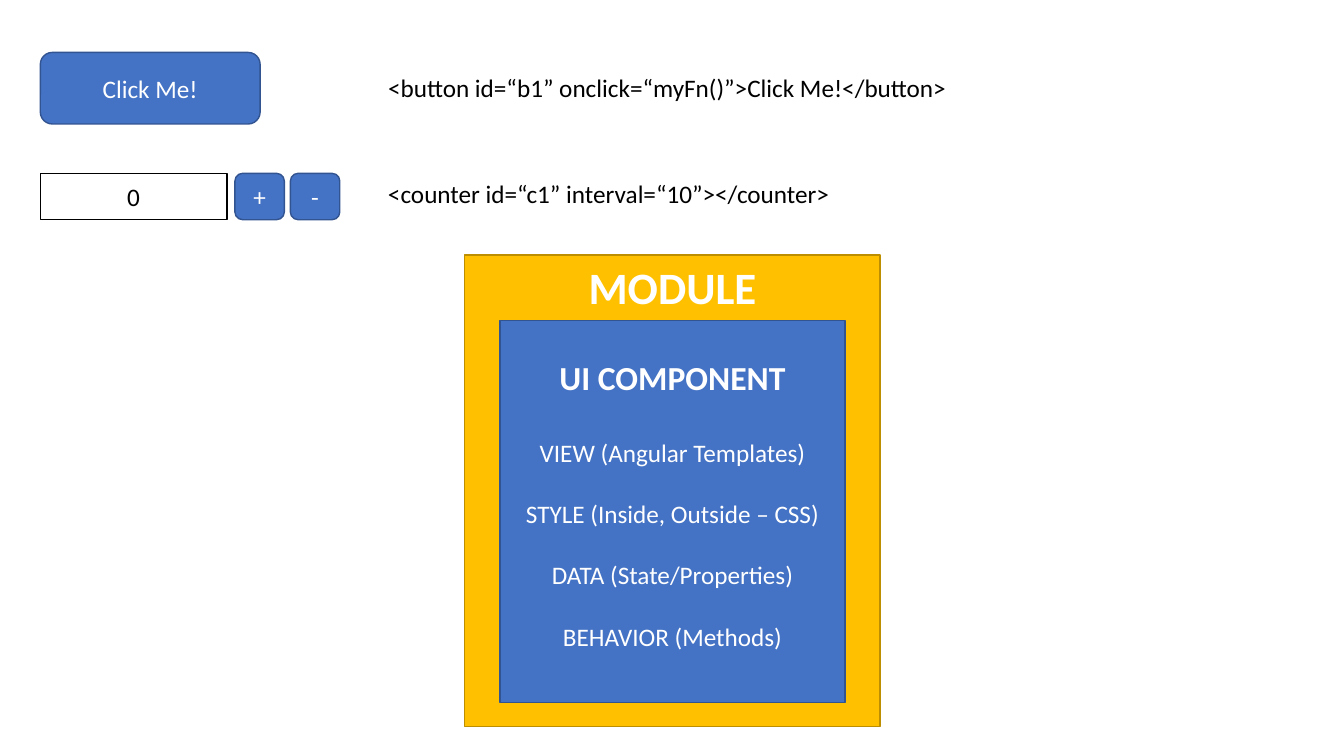
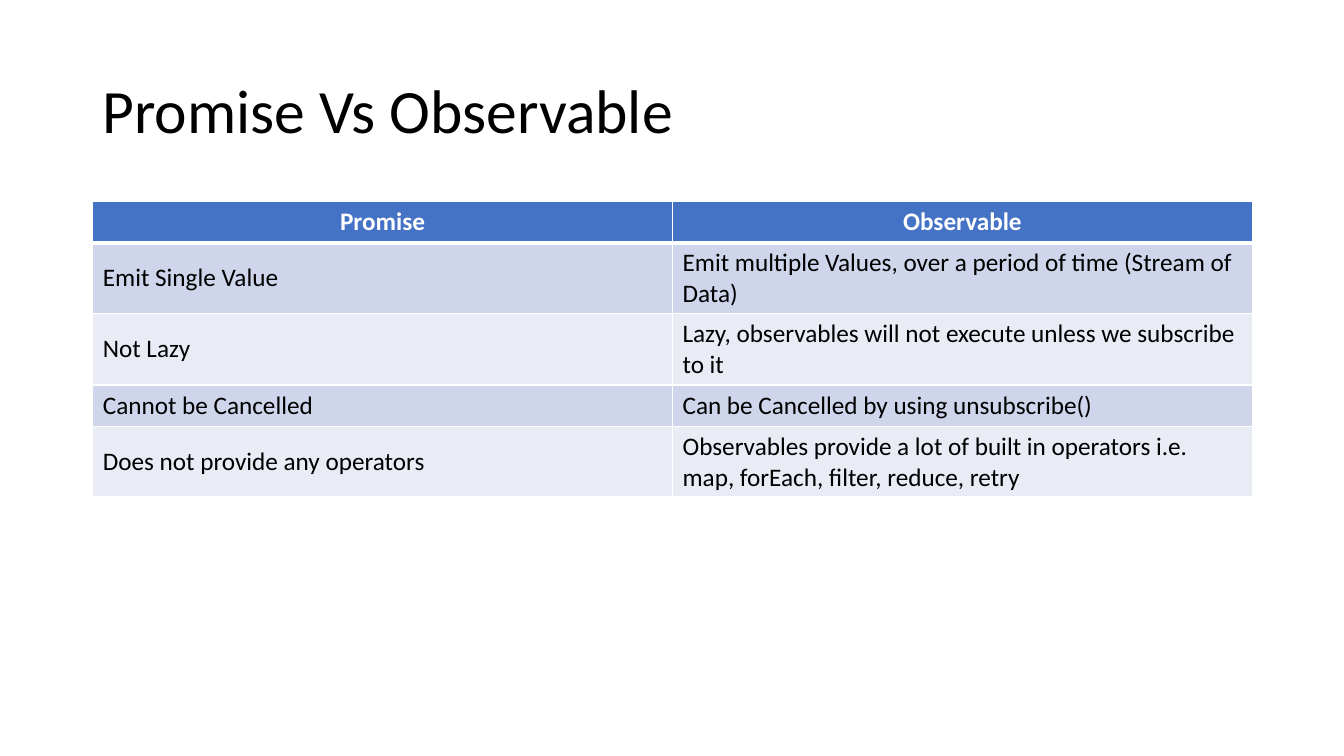
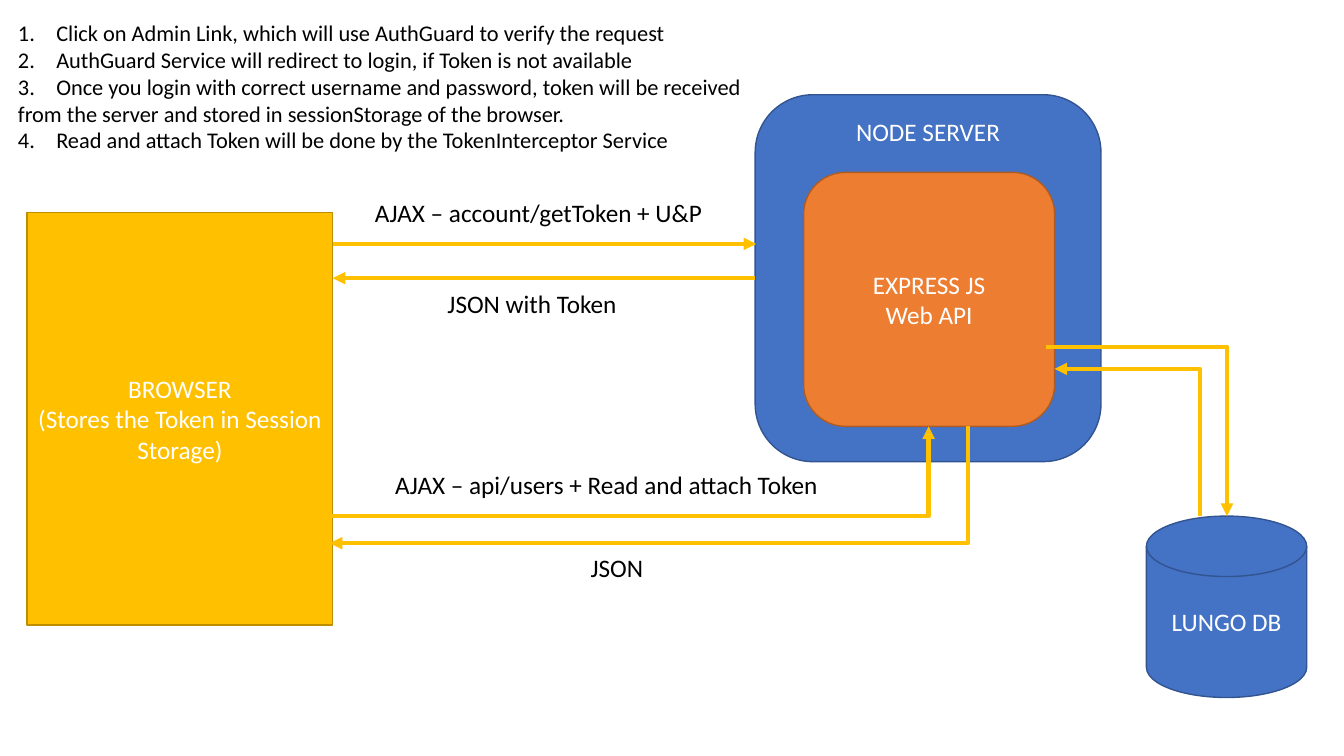
"""Builds three slides on user interface components, observables and token login."""
import pptx
import pptx.dml.color
import pptx.enum.shapes
import pptx.enum.text
import pptx.oxml.ns
import pptx.util
import lxml.etree

Inches = pptx.util.Inches
Pt = pptx.util.Pt
SHAPES = pptx.enum.shapes.MSO_SHAPE
CONNECTORS = pptx.enum.shapes.MSO_CONNECTOR
ANCHOR = pptx.enum.text.MSO_ANCHOR
ALIGN = pptx.enum.text.PP_ALIGN

FONT = "Calibri"
WHITE, BLACK = "FFFFFF", "000000"
BLUE, GOLD, ORANGE = "4472C4", "FFC000", "ED7D31"
OUTLINES = {BLUE: "325491", GOLD: "BD8E00", ORANGE: "AF5C24", WHITE: BLACK}
BANDS = ("CFD5EA", "E9EBF5")


def color(value):
    return pptx.dml.color.RGBColor.from_string(value)


def add_xml(parent, tag, **attributes):
    return lxml.etree.SubElement(parent, pptx.oxml.ns.qn(tag), attributes)


class Deck:
    """Holds the shared style and the current slide."""

    def __init__(self):
        self.presentation = pptx.Presentation()
        self.presentation.slide_width = Inches(13.33)
        self.presentation.slide_height = Inches(7.5)
        self.slide = None

    def new_slide(self):
        self.slide = self.presentation.slides.add_slide(self.presentation.slide_layouts[6])

    def set_text(self, frame, text, size, ink, align, bold=False):
        frame.text = text
        for paragraph in frame.paragraphs:
            paragraph.alignment = align
            for run in paragraph.runs:
                run.font.name = FONT
                run.font.size = Pt(size)
                run.font.bold = bold
                run.font.color.rgb = color(ink)

    def box(self, kind, left, top, width, height, fill, text, size=18, bold=False, anchor=ANCHOR.MIDDLE):
        shape = self.slide.shapes.add_shape(kind, Inches(left), Inches(top), Inches(width), Inches(height))
        shape.shadow.inherit = False
        shape.fill.solid()
        shape.fill.fore_color.rgb = color(fill)
        shape.line.color.rgb = color(OUTLINES[fill])
        shape.line.width = Pt(1)
        shape.text_frame.vertical_anchor = anchor
        self.set_text(shape.text_frame, text, size, BLACK if fill == WHITE else WHITE, ALIGN.CENTER, bold)
        return shape

    def label(self, left, top, width, text, height=0.4, size=18, wrap=False):
        shape = self.slide.shapes.add_textbox(Inches(left), Inches(top), Inches(width), Inches(height))
        shape.text_frame.word_wrap = wrap
        self.set_text(shape.text_frame, text, size, BLACK, ALIGN.LEFT)
        return shape

    def title(self, text):
        shape = self.label(0.92, 0.4, 11.5, text, height=1.45, size=44, wrap=True)
        shape.text_frame.vertical_anchor = ANCHOR.MIDDLE
        shape.text_frame.paragraphs[0].line_spacing = 0.9

    def number(self, paragraph, start):
        properties = paragraph._p.get_or_add_pPr()
        properties.set("marL", str(Inches(0.38)))
        properties.set("indent", str(-Inches(0.38)))
        add_xml(properties, "a:buFont", typeface="+mj-lt")
        add_xml(properties, "a:buAutoNum", type="arabicPeriod", startAt=str(start))

    def arrow(self, begin, end, bent=False, at_end=True):
        kind = CONNECTORS.ELBOW if bent else CONNECTORS.STRAIGHT
        connector = self.slide.shapes.add_connector(kind, *map(Inches, begin + end))
        connector.line.color.rgb = color(GOLD)
        connector.line.width = Pt(3)
        properties = connector._element.spPr
        if bent:
            properties.find(pptx.oxml.ns.qn("a:prstGeom")).set("prst", "bentConnector2")
        add_xml(connector.line._get_or_add_ln(), "a:tailEnd" if at_end else "a:headEnd", type="triangle")
        add_xml(properties, "a:effectLst")

    def border(self, cell, widths):
        properties = cell._tc.get_or_add_tcPr()
        for side, width in widths.items():
            line = add_xml(properties, "a:ln" + side, w=str(Pt(width)))
            add_xml(add_xml(line, "a:solidFill"), "a:srgbClr", val=WHITE)

    def table(self, left, top, width, heights, rows):
        frame = self.slide.shapes.add_table(
            len(rows), len(rows[0]), Inches(left), Inches(top), Inches(width), Inches(sum(heights)))
        for index, (height, texts) in enumerate(zip(heights, rows)):
            frame.table.rows[index].height = Inches(height)
            header = index == 0
            for column, text in enumerate(texts):
                cell = frame.table.cell(index, column)
                self.border(cell, {"L": 1, "R": 1, "T": 3 if index == 1 else 1, "B": 3 if header else 1})
                cell.fill.solid()
                cell.fill.fore_color.rgb = color(BLUE if header else BANDS[(index - 1) % 2])
                cell.vertical_anchor = ANCHOR.MIDDLE
                self.set_text(cell.text_frame, text, 18, WHITE if header else BLACK,
                              ALIGN.CENTER if header else ALIGN.LEFT, header)


def component_slide(deck):
    deck.new_slide()
    deck.box(SHAPES.RECTANGLE, 4.61, 2.53, 4.12, 4.68, GOLD, "MODULE", 32, True, ANCHOR.TOP)
    deck.box(SHAPES.ROUNDED_RECTANGLE, 0.4, 0.52, 2.18, 0.71, BLUE, "Click Me!")
    deck.label(3.75, 0.67, 5.81, "<button id=“b1” onclick=“myFn()”>Click Me!</button>")
    deck.label(3.75, 1.72, 4.63, "<counter id=“c1” interval=“10”></counter>")
    deck.box(SHAPES.RECTANGLE, 0.4, 1.72, 1.85, 0.46, WHITE, "0")
    for left, sign in ((2.33, "+"), (2.88, "-")):
        deck.box(SHAPES.ROUNDED_RECTANGLE, left, 1.72, 0.49, 0.46, BLUE, sign)
    parts = ["UI COMPONENT", "VIEW (Angular Templates)", "STYLE (Inside, Outside – CSS)",
             "DATA (State/Properties)", "BEHAVIOR (Methods)"]
    component = deck.box(SHAPES.RECTANGLE, 4.96, 3.18, 3.42, 3.79, BLUE, "\n".join(parts), anchor=ANCHOR.TOP)
    component.text_frame.margin_top = Inches(0.36)
    heading, view, *others = component.text_frame.paragraphs
    heading.runs[0].font.size = Pt(24)
    heading.runs[0].font.bold = True
    view.space_before = Pt(29)
    for paragraph in others:
        paragraph.space_before = Pt(22)


def comparison_slide(deck):
    deck.new_slide()
    deck.title("Promise Vs Observable")
    deck.table(0.92, 2, 11.5, (0.41, 0.7, 0.71, 0.41, 0.7), [
        ("Promise", "Observable"),
        ("Emit Single Value", "Emit multiple Values, over a period of time (Stream of Data)"),
        ("Not Lazy", "Lazy, observables will not execute unless we subscribe to it"),
        ("Cannot be Cancelled", "Can be Cancelled by using unsubscribe()"),
        ("Does not provide any operators",
         "Observables provide a lot of built in operators i.e. map, forEach, filter, reduce, retry"),
    ])


def token_slide(deck):
    deck.new_slide()
    deck.box(SHAPES.FLOWCHART_MAGNETIC_DISK, 11.37, 5.12, 1.59, 1.8, BLUE, "LUNGO DB")
    deck.box(SHAPES.ROUNDED_RECTANGLE, 7.49, 0.94, 3.43, 3.64, BLUE, "NODE SERVER", anchor=ANCHOR.TOP)
    deck.box(SHAPES.ROUNDED_RECTANGLE, 7.97, 1.71, 2.49, 2.52, ORANGE, "EXPRESS JS\nWeb API")
    deck.arrow((10.37, 3.44), (12.17, 5.12), bent=True)
    deck.arrow((10.46, 3.66), (11.9, 5.12), bent=True, at_end=False)
    deck.box(SHAPES.RECTANGLE, 0.27, 2.11, 3.03, 4.09, GOLD, "BROWSER\n(Stores the Token in Session Storage)")
    deck.arrow((3.27, 5.12), (9.21, 4.23), bent=True)
    deck.arrow((3.27, 5.39), (9.6, 4.23), bent=True, at_end=False)
    deck.arrow((3.3, 2.42), (7.5, 2.42))
    deck.arrow((7.49, 2.76), (3.3, 2.76))
    for left, top, width, text in (
        (3.82, 4.61, 4.45, "AJAX – api/users + Read and attach Token"),
        (5.76, 5.43, 0.73, "JSON"),
        (3.62, 1.91, 3.48, "AJAX – account/getToken + U&P"),
        (4.34, 2.81, 1.9, "JSON with Token"),
    ):
        deck.label(left, top, width, text)
    steps = [
        "Click on Admin Link, which will use AuthGuard to verify the request",
        "AuthGuard Service will redirect to login, if Token is not available",
        "Once you login with correct username and password, token will be received",
        "from the server and stored in sessionStorage of the browser.",
        "Read and attach Token will be done by the TokenInterceptor Service",
    ]
    instructions = deck.label(0.08, 0.14, 7.51, "\n".join(steps), height=1.72, size=16)
    paragraphs = instructions.text_frame.paragraphs
    for paragraph in paragraphs[:3]:
        deck.number(paragraph, 1)
    deck.number(paragraphs[4], 4)


def main():
    deck = Deck()
    component_slide(deck)
    comparison_slide(deck)
    token_slide(deck)
    deck.presentation.save("out.pptx")


if __name__ == "__main__":
    main()
